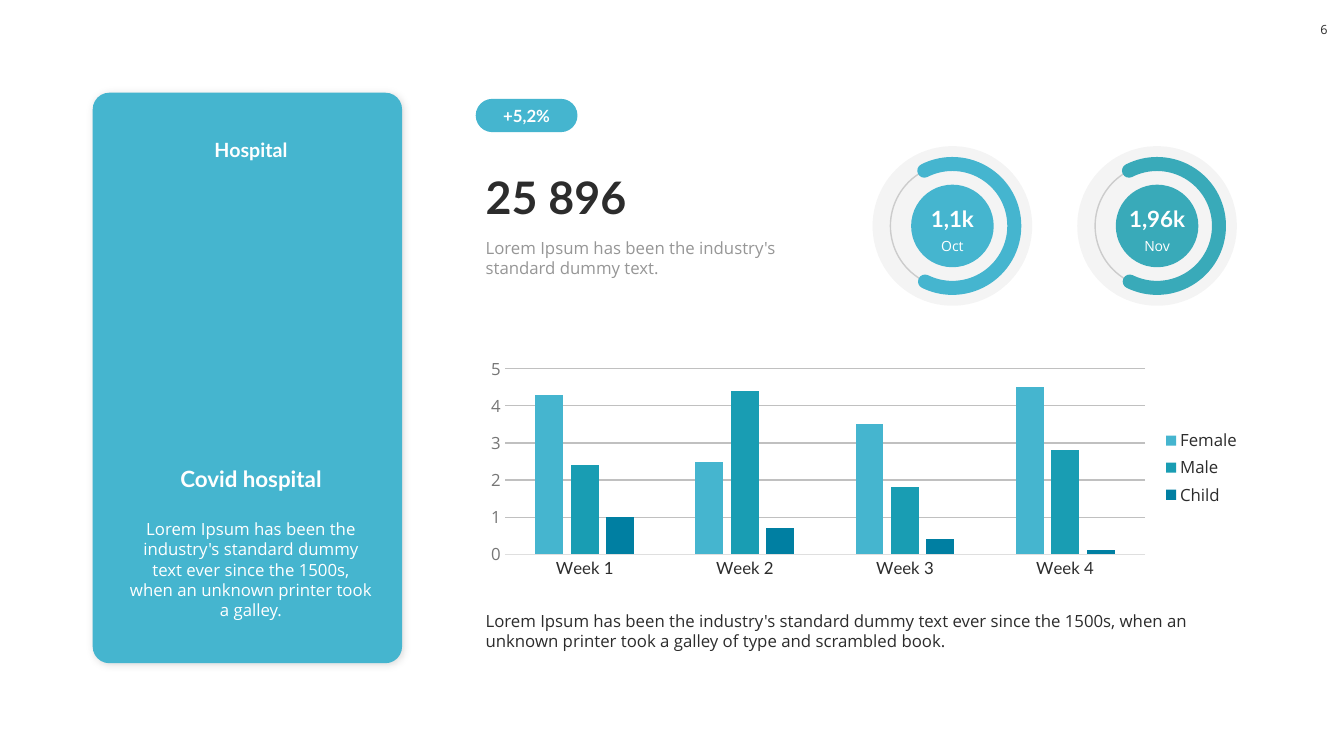
from lxml.etree import SubElement
from pptx import Presentation
from pptx.chart.data import CategoryChartData
from pptx.dml.color import RGBColor
from pptx.enum.chart import XL_CHART_TYPE, XL_LEGEND_POSITION, XL_TICK_MARK
from pptx.enum.shapes import MSO_SHAPE
from pptx.enum.text import MSO_ANCHOR, MSO_AUTO_SIZE, PP_ALIGN
from pptx.oxml.ns import qn
from pptx.util import Pt

SKY = RGBColor(0x45, 0xB5, 0xCF)
TEAL = RGBColor(0x39, 0xAA, 0xB9)
MALE_TEAL = RGBColor(0x19, 0x9D, 0xB3)
CHILD_BLUE = RGBColor(0x00, 0x7F, 0xA2)
INK = RGBColor(0x2C, 0x2C, 0x2C)
GRAY = RGBColor(0x96, 0x96, 0x96)
AXIS_GRAY = RGBColor(0x76, 0x76, 0x76)
GRID_GRAY = RGBColor(0xC0, 0xC0, 0xC0)
BASELINE_GRAY = RGBColor(0xDF, 0xDF, 0xDF)
WHITE = RGBColor(0xFF, 0xFF, 0xFF)

LEFT, CENTER = PP_ALIGN.LEFT, PP_ALIGN.CENTER
TOP, MIDDLE, BOTTOM = MSO_ANCHOR.TOP, MSO_ANCHOR.MIDDLE, MSO_ANCHOR.BOTTOM

presentation = Presentation()
presentation.slide_width, presentation.slide_height = Pt(960), Pt(540)
slide = presentation.slides.add_slide(presentation.slide_layouts[5])
shapes = slide.shapes


def add_figure(kind, box, fill=None, line=None, width=1, opacity=100):
    """Add a preset shape with a plain fill or outline."""
    shape = shapes.add_shape(kind, *map(Pt, box))
    shape.shadow.inherit = False
    for part, color in ((shape.fill, fill), (shape.line.fill, line)):
        if color is None:
            part.background()
        else:
            part.solid()
            part.fore_color.rgb = color
    if line is not None:
        shape.line.width = Pt(width)
    if opacity < 100:
        for color in shape.element.spPr.iter(qn("a:srgbClr")):
            SubElement(color, qn("a:alpha"), val=str(opacity * 1000))
    return shape


def write(shape, text, size, font_name, color, align=CENTER, anchor=TOP):
    """Put one formatted paragraph into a shape; Lato is always bold."""
    frame = shape.text_frame
    frame.word_wrap = True
    frame.auto_size = MSO_AUTO_SIZE.NONE
    frame.vertical_anchor = anchor
    paragraph = frame.paragraphs[0]
    paragraph.text = text
    paragraph.alignment = align
    font = paragraph.font
    font.color.rgb = color
    values = {"size": Pt(size), "name": font_name, "bold": font_name == "Lato"}
    for name, value in values.items():
        setattr(font, name, value)
    return frame


# Card with a soft shadow
card = add_figure(MSO_SHAPE.ROUNDED_RECTANGLE, (66.25, 66.25, 221, 407.5), SKY)
card.adjustments[0] = 0.054
effects = card.element.spPr.find(qn("a:effectLst"))
shadow = SubElement(effects, qn("a:outerShdw"), blurRad=str(Pt(6)),
                    dist=str(Pt(1)), dir="2700000", rotWithShape="0")
shadow_color = SubElement(shadow, qn("a:srgbClr"), val="000000")
SubElement(shadow_color, qn("a:alpha"), val="15000")

# Title, brought in front of the card
title = shapes.title
title.left, title.top, title.width, title.height = map(Pt, (85, 94.3, 188.6, 24.5))
write(title, "Hospital", 14, "Lato", WHITE, anchor=BOTTOM)
title.element.getparent().append(title.element)

# Page number and growth badge
page_number = add_figure(MSO_SHAPE.ROUNDED_RECTANGLE, (931.7, 7.2, 28, 28), WHITE)
badge = add_figure(MSO_SHAPE.ROUNDED_RECTANGLE, (339.8, 70.6, 72.7, 23.8), SKY)
badge.adjustments[0] = 0.5
for frame in (
    write(page_number, "6", 9, "Open Sans", INK, anchor=MIDDLE),
    write(badge, "+5,2%", 12, "Lato", WHITE, anchor=MIDDLE),
):
    for side in ("left", "top", "right", "bottom"):
        setattr(frame, f"margin_{side}", 0)

# Gauges: halo, track, arc and core share one centre
texts = []
for center_x, color, value, month in (
    (680.3, SKY, "1,1k", "Oct"),
    (826.5, TEAL, "1,96k", "Nov"),
):
    halo, track, core = (
        (center_x - size / 2, 161.4 - size / 2, size, size)
        for size in (114, 88.5, 59)
    )
    add_figure(MSO_SHAPE.OVAL, halo, INK, opacity=5)
    add_figure(MSO_SHAPE.OVAL, track, line=INK, opacity=20)
    arc = add_figure(MSO_SHAPE.ARC, track, line=color, width=10)
    arc.adjustments[0], arc.adjustments[1] = 145.85, 69.71
    arc.line.fill.fore_color.rgb = color
    arc.element.spPr.find(qn("a:ln")).set("cap", "rnd")
    add_figure(MSO_SHAPE.OVAL, core, color)
    left, _, width, _ = core
    texts += [
        ((left, 142.6, width, 26.6), value, 16, "Lato", WHITE, CENTER, BOTTOM),
        ((left, 166.3, width, 19.4), month, 10, "Open Sans", WHITE, CENTER, TOP),
    ]

# Text boxes
texts += [
    ((85, 329, 188.6, 26.6), "Covid hospital", 16, "Lato", WHITE, CENTER, TOP),
    ((85, 367.2, 188.6, 65.5),
     "Lorem Ipsum has been the industry's standard dummy text ever since "
     "the 1500s, when an unknown printer took a galley.",
     12, "Open Sans", WHITE, CENTER, TOP),
    ((339.8, 117.4, 242, 46), "25 896", 32, "Lato", INK, LEFT, BOTTOM),
    ((339.8, 166.3, 242, 36),
     "Lorem Ipsum has been the industry's standard dummy text.",
     12, "Open Sans", GRAY, LEFT, TOP),
    ((339.8, 432.7, 554.4, 36),
     "Lorem Ipsum has been the industry's standard dummy text ever since the "
     "1500s, when an unknown printer took a galley of type and scrambled book.",
     12, "Open Sans", INK, LEFT, TOP),
]
for box, *content in texts:
    write(shapes.add_textbox(*map(Pt, box)), *content)

# Weekly chart
series_rows = (
    ("Female", (4.3, 2.5, 3.5, 4.5), SKY),
    ("Male", (2.4, 4.4, 1.8, 2.8), MALE_TEAL),
    ("Child", (1, 0.7, 0.4, 0.1), CHILD_BLUE),
)
chart_data = CategoryChartData()
chart_data.categories = [f"Week {number}" for number in range(1, 5)]
for name, values, _ in series_rows:
    chart_data.add_series(name, values)
chart = shapes.add_chart(XL_CHART_TYPE.COLUMN_CLUSTERED,
                         *map(Pt, (339.8, 252, 553.7, 164.2)), chart_data).chart
chart.has_title = False
chart.has_legend = True
chart.legend.position = XL_LEGEND_POSITION.RIGHT
chart.legend.include_in_layout = False

plot = chart.plots[0]
plot.gap_width, plot.overlap, plot.vary_by_categories = 219, -27, False
for series, (_, _, color) in zip(plot.series, series_rows):
    series.format.fill.solid()
    series.format.fill.fore_color.rgb = color

category_axis, value_axis = chart.category_axis, chart.value_axis
for font, size, name, color in (
    (chart.font, 10, "Open Sans", INK),
    (chart.legend.font, 12, "Open Sans", INK),
    (category_axis.tick_labels.font, 12, "Lato", INK),
    (value_axis.tick_labels.font, 12, "Open Sans", AXIS_GRAY),
):
    font.size, font.name, font.bold = Pt(size), name, False
    font.color.rgb = color
for axis in (category_axis, value_axis):
    axis.major_tick_mark = axis.minor_tick_mark = XL_TICK_MARK.NONE
value_axis.minimum_scale, value_axis.maximum_scale = 0, 5
value_axis.major_unit = 1
value_axis.format.line.fill.background()
for line, color in (
    (category_axis.format.line, BASELINE_GRAY),
    (value_axis.major_gridlines.format.line, GRID_GRAY),
):
    line.color.rgb = color
    line.width = Pt(0.75)

presentation.save("out.pptx")
